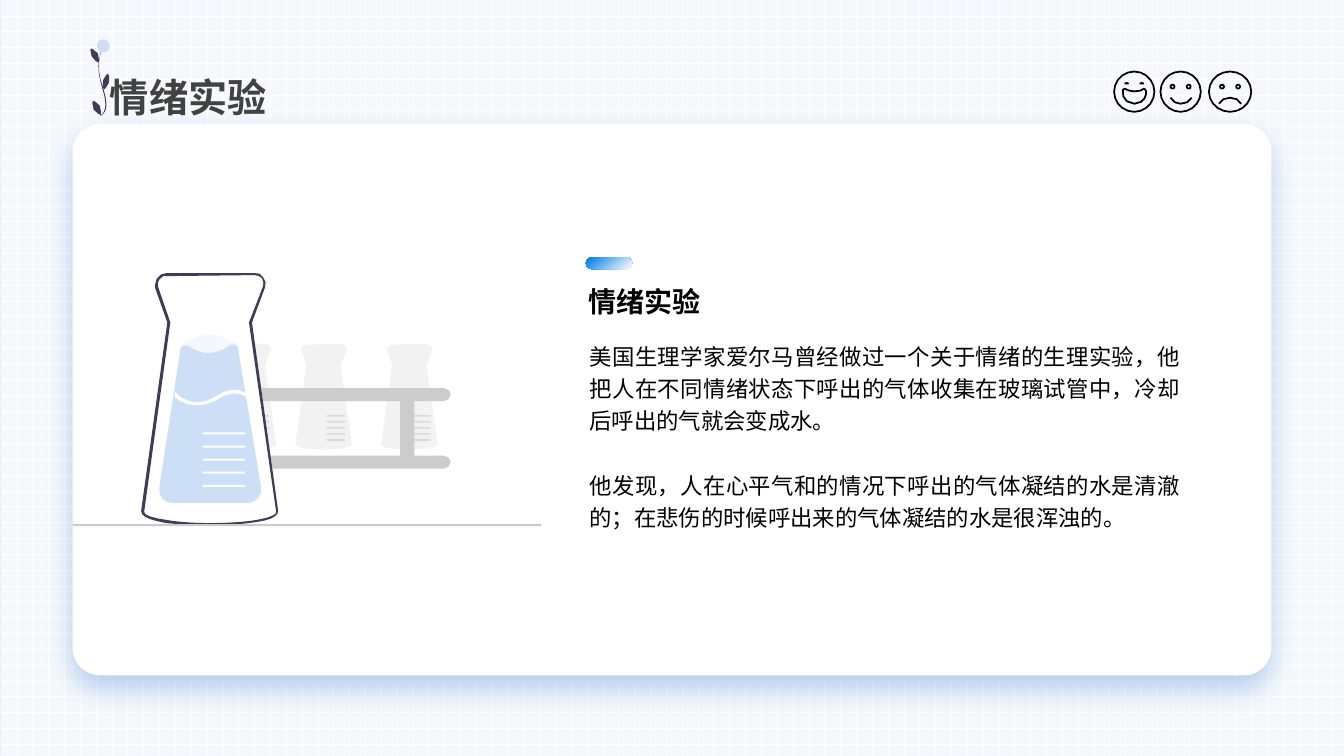
from math import ceil, dist

from lxml.etree import SubElement
from pptx import Presentation
from pptx.dml.color import RGBColor
from pptx.enum.dml import MSO_PATTERN
from pptx.enum.shapes import MSO_SHAPE
from pptx.enum.text import MSO_ANCHOR, MSO_AUTO_SIZE, PP_ALIGN
from pptx.oxml.ns import qn
from pptx.util import Inches, Pt

WHITE = RGBColor(0xFF, 0xFF, 0xFF)
BLACK = RGBColor(0, 0, 0)
PAPER = RGBColor(0xF5, 0xF9, 0xFD)
SKY = RGBColor(0xCD, 0xDF, 0xF7)
MIST = RGBColor(0xEB, 0xF2, 0xFC)
BLUE = RGBColor(0x00, 0x7F, 0xE5)
INK = RGBColor(0x3F, 0x3D, 0x56)
CHARCOAL = RGBColor(0x42, 0x42, 0x42)
PALE = RGBColor(0xF2, 0xF2, 0xF2)
GRAY = RGBColor(0xCC, 0xCC, 0xCC)
CJK = "Noto Sans CJK SC"

TITLE = "情绪实验"
HEADING = "情绪实验"
BODY = [
    "美国生理学家爱尔马曾经做过一个关于情绪的生理实验，他把人在不同情绪状态下呼出的气体收集在玻璃试管中，冷却后呼出的气就会变成水。",
    "他发现，人在心平气和的情况下呼出的气体凝结的水是清澈的；在悲伤的时候呼出来的气体凝结的水是很浑浊的。",
]

FACES = [
    {"center": 11.25, "radius": 0.2, "eyes": [], "mouth":
     "M 11.36 .89 C 11.35 .88 11.35 .87 11.31 .9 C 11.27 .91 11.23 .91 11.2 .9 "
     "C 11.15 .87 11.15 .88 11.14 .89 "
     "C 11.14 .89 11.11 1.02 11.25 1.03 C 11.39 1.02 11.37 .89 11.36 .89 Z "
     "M 11.19 .83 C 11.18 .82 11.17 .82 11.16 .83 Z "
     "M 11.34 .83 C 11.33 .82 11.32 .82 11.31 .83 Z"},
    {"center": 11.71, "radius": 0.2, "eyes": [11.63, 11.79], "mouth":
     "M 11.61 .97 C 11.63 1.01 11.67 1.03 11.71 1.03 C 11.76 1.03 11.8 1.01 11.82 .97"},
    {"center": 12.2, "radius": 0.21, "eyes": [12.12, 12.28], "mouth":
     "M 12.31 1.03 C 12.29 .99 12.25 .97 12.2 .97 C 12.15 .97 12.11 .99 12.09 1.03"},
]

SPRIG = [
    "M 1.08 .82 C 1.07 .86 1.03 .89 1.03 .89 C 1.03 .89 1.01 .85 1.02 .8 "
    "C 1.03 .76 1.07 .73 1.07 .73 C 1.07 .73 1.1 .77 1.08 .82 Z",
    "M .99 1.05 C 1.01 1.09 1 1.14 1 1.14 C 1 1.14 .96 1.13 .93 1.09 "
    "C .91 1.05 .92 1 .92 1 C .92 1 .97 1.01 .99 1.05 Z",
    "M .97 .53 C .99 .57 .98 .62 .98 .62 C .98 .62 .93 .61 .91 .56 "
    "C .89 .52 .9 .48 .9 .48 C .9 .48 .94 .49 .97 .53 Z",
    "M 1 1.15 L 1 1.14 C 1 1.14 1.02 1.14 1.03 1.11 C 1.05 1.08 1.06 1.01 1.01 .86 "
    "C .97 .73 .97 .62 .99 .56 C 1 .49 1.02 .45 1.03 .45 L 1.03 .46 "
    "C 1.03 .46 1.01 .49 .99 .56 C .98 .62 .97 .73 1.02 .86 "
    "C 1.07 1.01 1.06 1.08 1.04 1.11 C 1.02 1.14 1 1.15 1 1.15 Z",
]

TUBE_LEFTS = [3.78, 2.18, 2.93]
TUBE = ("M .28 4.46 C .34 4.46 .41 4.45 .47 4.45 C .53 4.44 .56 4.42 .56 4.41 "
        "L .45 3.62 L .51 3.47 C .51 3.45 .5 3.42 .46 3.41 "
        "L .1 3.42 C .08 3.42 .06 3.44 .06 3.47 L .11 3.62 L 0 4.41 "
        "C 0 4.45 .18 4.46 .28 4.46 Z")
RACK = ("M 2.03 4.52 L 2.37 4.52 L 2.37 3.98 L 2.03 3.98 C 1.99 3.98 1.96 3.95 1.96 3.91 "
        "C 1.96 3.88 1.99 3.85 2.03 3.85 L 4.4 3.85 C 4.44 3.85 4.47 3.88 4.47 3.91 "
        "C 4.47 3.95 4.44 3.98 4.4 3.98 L 4.11 3.98 L 4.11 4.52 L 4.4 4.52 "
        "C 4.44 4.52 4.47 4.55 4.47 4.58 C 4.47 4.62 4.44 4.65 4.4 4.65 L 2.03 4.65 "
        "C 1.99 4.65 1.96 4.62 1.96 4.58 C 1.96 4.55 1.99 4.52 2.03 4.52 Z "
        "M 3.97 4.52 L 3.97 3.98 L 2.51 3.98 L 2.51 4.52 Z")
FLASK = ("M 2.08 5.21 C 2.26 5.21 2.42 5.2 2.54 5.18 C 2.69 5.16 2.76 5.12 2.76 5.07 "
         "L 2.5 3.2 L 2.63 2.85 C 2.64 2.82 2.64 2.78 2.61 2.75 "
         "C 2.59 2.72 2.56 2.7 2.52 2.71 L 1.65 2.71 C 1.59 2.71 1.54 2.76 1.54 2.82 "
         "L 1.54 2.86 L 1.66 3.2 L 1.4 5.07 "
         "C 1.4 5.13 1.49 5.16 1.65 5.19 C 1.82 5.21 2.01 5.21 2.08 5.21 Z")
FLASK_INSIDE = (" M 2.52 2.73 C 2.55 2.73 2.58 2.74 2.6 2.76 C 2.61 2.79 2.62 2.82 2.61 2.84 "
                "L 2.47 3.2 L 2.74 5.08 C 2.74 5.1 2.71 5.13 2.54 5.16 "
                "C 2.42 5.18 2.25 5.19 2.08 5.19 C 1.93 5.19 1.77 5.18 1.66 5.16 "
                "C 1.51 5.14 1.43 5.11 1.43 5.08 L 1.69 3.2 L 1.57 2.85 "
                "C 1.55 2.81 1.58 2.76 1.62 2.74 L 1.65 2.74 Z")
VAPOR = ("M 1.59 4.85 L 2.58 4.85 L 2.42 3.85 L 2.35 3.41 "
         "C 2.35 3.38 2.32 3.4 2.29 3.39 C 2.16 3.29 2.02 3.29 1.88 3.38 "
         "C 1.86 3.4 1.83 3.38 1.83 3.4 L 1.76 3.82 Z")
LIQUID = ("M 2.46 4.99 L 1.71 4.99 C 1.63 4.99 1.57 4.93 1.58 4.84 "
          "L 1.79 3.46 C 1.8 3.43 1.83 3.41 1.86 3.43 "
          "C 2 3.53 2.14 3.53 2.29 3.42 C 2.32 3.41 2.36 3.42 2.36 3.45 "
          "L 2.59 4.84 C 2.6 4.91 2.55 4.97 2.48 4.99 Z")
WAVE = ("M 1.73 3.94 C 1.8 4 1.89 4.03 1.98 4.02 C 2.04 4.02 2.08 4 2.13 3.98 "
        "C 2.18 3.95 2.22 3.92 2.28 3.91 C 2.32 3.9 2.38 3.9 2.42 3.93 L 2.44 3.93 "
        "L 2.44 3.9 C 2.39 3.87 2.34 3.86 2.28 3.87 C 2.18 3.89 2.1 3.98 1.99 3.99 "
        "C 1.89 4 1.8 3.96 1.74 3.89 Z")


def oval(cx, cy, rx, ry):
    """Return the path of an ellipse as four curves."""
    kx, ky = 0.55 * rx, 0.55 * ry
    return (f"M {cx - rx} {cy} C {cx - rx} {cy - ky} {cx - kx} {cy - ry} {cx} {cy - ry} "
            f"C {cx + kx} {cy - ry} {cx + rx} {cy - ky} {cx + rx} {cy} "
            f"C {cx + rx} {cy + ky} {cx + kx} {cy + ry} {cx} {cy + ry} "
            f"C {cx - kx} {cy + ry} {cx - rx} {cy + ky} {cx - rx} {cy} Z ")


def scale(left, top, step, width, height):
    """Return the path of five scale marks."""
    return " ".join(f"M {left} {y} L {left + width} {y} L {left + width} {y + height} "
                    f"L {left} {y + height} Z" for y in (top + i * step for i in range(5)))


def contours(path):
    """Turn a path into a list of [points, closed] contours."""
    found, tokens = [], iter(path.split())
    for op in tokens:
        if op == "Z":
            found[-1][1] = True
            continue
        pts = [(float(next(tokens)), float(next(tokens))) for _ in range(3 if op == "C" else 1)]
        if op == "M":
            found.append([pts, False])
        elif op == "L":
            found[-1][0].extend(pts)
        else:
            curve = [found[-1][0][-1]] + pts
            steps = min(5, max(2, ceil(sum(map(dist, curve, pts)) / 0.07)))
            for t in (i / steps for i in range(1, steps + 1)):
                weights = ((1 - t) ** 3, 3 * t * (1 - t) ** 2, 3 * t * t * (1 - t), t ** 3)
                found[-1][0].append(tuple(sum(w * p[k] for w, p in zip(weights, curve))
                                          for k in (0, 1)))
    return found


def paint(sp, fill=None, alpha=None):
    """Give a shape a plain fill, no outline and no shadow."""
    sp.shadow.inherit = False
    sp.line.fill.background()
    if fill is None:
        sp.fill.background()
    else:
        sp.fill.solid()
        sp.fill.fore_color.rgb = fill
    if alpha:
        color = sp._element.spPr.find(qn("a:solidFill"))[0]
        SubElement(color, qn("a:alpha"), val=str(alpha * 1000))
    return sp


def draw(s, path, fill=None, alpha=None, dx=0):
    """Draw a path as one freeform."""
    builder = None
    for pts, closed in contours(path):
        pts = [(Inches(x + dx), Inches(y)) for x, y in pts]
        if builder is None:
            builder = s.shapes.build_freeform(*pts[0], scale=1.0)
        else:
            builder.move_to(*pts[0])
        builder.add_line_segments(pts[1:], close=closed)
    return paint(builder.convert_to_shape(), fill, alpha)


def block(s, kind, box, fill=None, alpha=None):
    """Add a preset shape."""
    return paint(s.shapes.add_shape(kind, *map(Inches, box)), fill, alpha)


def write(sp, box, lines, size, color, font=CJK, bold=False, align=PP_ALIGN.LEFT, wrap=True):
    """Place a text shape and fill it with paragraphs."""
    sp.left, sp.top, sp.width, sp.height = map(Inches, box)
    tf = sp.text_frame
    tf.word_wrap, tf.auto_size = wrap, MSO_AUTO_SIZE.SHAPE_TO_FIT_TEXT
    for i, line in enumerate(lines):
        p = tf.add_paragraph() if i else tf.paragraphs[0]
        p.text, p.alignment, p.line_spacing = line, align, 1.2
        if i:
            p.space_before = Pt(23)
        p.font.size, p.font.bold, p.font.name = Pt(size), bold, font
        p.font.color.rgb = color
        SubElement(p._p.pPr.find(qn("a:defRPr")), qn("a:ea"), typeface=CJK)
    return tf


def main():
    """Build the slide."""
    prs = Presentation()
    prs.slide_width, prs.slide_height = Inches(13.33), Inches(7.5)
    s = prs.slides.add_slide(prs.slide_layouts[5])

    block(s, MSO_SHAPE.RECTANGLE, (0, 0, 13.33, 7.5), SKY, 50)
    grid = block(s, MSO_SHAPE.RECTANGLE, (0.01, 0, 13.32, 7.5))
    grid.fill.patterned()
    grid.fill.pattern = MSO_PATTERN.DOTTED_GRID
    grid.fill.fore_color.rgb, grid.fill.back_color.rgb = WHITE, PAPER
    card = block(s, MSO_SHAPE.ROUNDED_RECTANGLE, (0.72, 1.23, 11.89, 5.47), WHITE)
    card.adjustments[0] = 0.05
    shadow = SubElement(card._element.spPr.find(qn("a:effectLst")), qn("a:outerShdw"),
                        blurRad=str(Pt(20)), dist=str(Pt(10)), dir="5400000",
                        algn="t", rotWithShape="0")
    shade = SubElement(shadow, qn("a:srgbClr"), val="1F65C3")
    SubElement(shade, qn("a:alpha"), val="30000")

    for face in FACES:
        eyes = "".join(oval(x, 0.86, 0.02, 0.02) for x in face["eyes"])
        ring = oval(face["center"], 0.91, face["radius"], 0.2)
        sp = draw(s, ring + eyes + face["mouth"])
        sp.line.color.rgb, sp.line.width = BLACK, Pt(1.25)
    for path in SPRIG:
        draw(s, path, INK)
    block(s, MSO_SHAPE.OVAL, (0.96, 0.39, 0.13, 0.13), SKY)

    write(s.shapes.add_textbox(0, 0, 0, 0), (5.75, 3.3, 6.06, 2.01), BODY, 16, BLACK,
          font="Arial", align=PP_ALIGN.JUSTIFY)
    title = s.shapes.title
    s.shapes._spTree.append(title._element)
    tf = write(title, (1.09, 0.65, 6.57, 0.53), [TITLE], 28, CHARCOAL, bold=True)
    tf.vertical_anchor = MSO_ANCHOR.MIDDLE
    tf.margin_left = tf.margin_right = tf.margin_top = tf.margin_bottom = 0
    write(s.shapes.add_textbox(0, 0, 0, 0), (5.74, 2.71, 1.32, 0.47), [HEADING], 20, BLACK,
          bold=True, wrap=False)
    pill = block(s, MSO_SHAPE.ROUNDED_RECTANGLE, (5.81, 2.55, 0.46, 0.12))
    pill.adjustments[0] = 0.5
    pill.fill.gradient()
    pill.fill.gradient_angle = 310
    for stop, (position, color) in zip(pill.fill.gradient_stops, [(0.04, BLUE), (1, WHITE)]):
        stop.position, stop.color.rgb = position, color

    for left in TUBE_LEFTS:
        draw(s, TUBE, PALE, dx=left)
        draw(s, scale(0.31, 4.12, 0.06, 0.18, 0.01), GRAY, dx=left)
    for path, color, alpha in [(RACK, GRAY, None), (FLASK, WHITE, None),
                               (FLASK + FLASK_INSIDE, INK, None), (VAPOR, MIST, 50),
                               (LIQUID, SKY, None), (WAVE, WHITE, None),
                               (scale(2.01, 4.29, 0.13, 0.42, 0.02), WHITE, None)]:
        draw(s, path, color, alpha)
    block(s, MSO_SHAPE.RECTANGLE, (0.72, 5.2, 4.65, 0.02), GRAY)
    prs.save("out.pptx")


if __name__ == "__main__":
    main()
